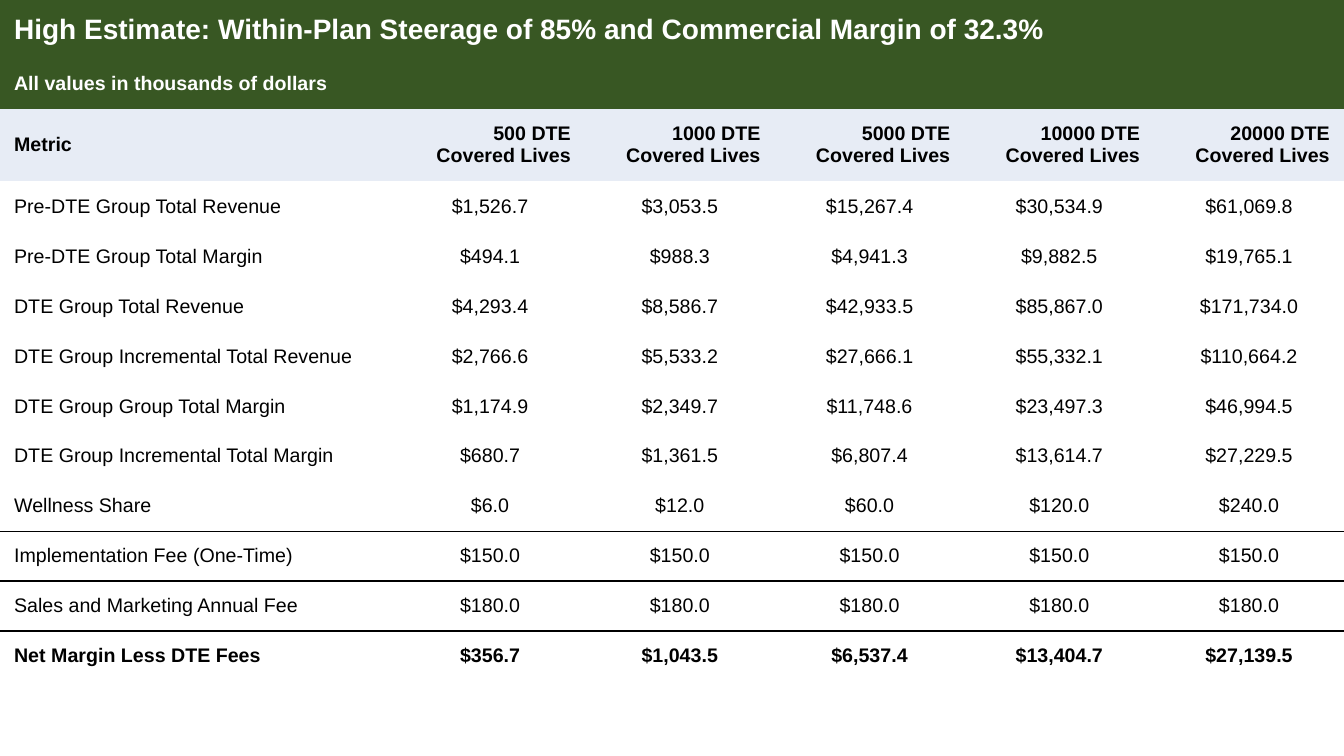
from dataclasses import dataclass

from lxml.etree import SubElement
from pptx import Presentation
from pptx.dml.color import RGBColor
from pptx.enum.text import MSO_ANCHOR, PP_ALIGN
from pptx.oxml import parse_xml
from pptx.oxml.ns import nsdecls, qn
from pptx.util import Inches, Pt


@dataclass(frozen=True)
class Theme:
    font: str = "Arial"
    green: str = "385723"
    pale: str = "E7ECF5"
    white: str = "FFFFFF"
    black: str = "000000"
    large: int = 20
    body: int = 14
    rule: int = 1


THEME = Theme()
WIDTH, HEIGHT = 13.33, 7.5
PAD = 0.14
PLAIN = "{2D5ABB26-0587-4C30-8999-92F81FD0307C}"  # no style, no grid

# Table content
BANNER = [
    ("High Estimate: Within-Plan Steerage of 85% and Commercial Margin of 32.3%",
     THEME.large),
    ("All values in thousands of dollars", THEME.body),
]
LIVES = [500, 1000, 5000, 10000, 20000]
METRICS = [
    ("Pre-DTE Group Total Revenue", [1526.7, 3053.5, 15267.4, 30534.9, 61069.8]),
    ("Pre-DTE Group Total Margin", [494.1, 988.3, 4941.3, 9882.5, 19765.1]),
    ("DTE Group Total Revenue", [4293.4, 8586.7, 42933.5, 85867.0, 171734.0]),
    ("DTE Group Incremental Total Revenue",
     [2766.6, 5533.2, 27666.1, 55332.1, 110664.2]),
    ("DTE Group Group Total Margin", [1174.9, 2349.7, 11748.6, 23497.3, 46994.5]),
    ("DTE Group Incremental Total Margin",
     [680.7, 1361.5, 6807.4, 13614.7, 27229.5]),
    ("Wellness Share", [6, 12, 60, 120, 240]),
    ("Implementation Fee (One-Time)", [150] * 5),
    ("Sales and Marketing Annual Fee", [180] * 5),
    ("Net Margin Less DTE Fees", [356.7, 1043.5, 6537.4, 13404.7, 27139.5]),
]
RULED = ("Wellness Share", "Sales and Marketing Annual Fee")
TOTAL = "Net Margin Less DTE Fees"

# Row and column sizes in inches
LABEL = 3.92
TOPS = [0.59, 0.49, 0.72]
ROWS = TOPS + [4.96 / len(METRICS)] * len(METRICS)
COLS = [LABEL] + [(WIDTH - LABEL) / len(LIVES)] * len(LIVES)


def put(cell, text, align=PP_ALIGN.LEFT, size=THEME.body, bold=False,
        color=THEME.black, fill=None):
    """Fill one cell with formatted text."""
    cell.margin_left = cell.margin_right = Inches(PAD)
    cell.margin_top = cell.margin_bottom = Inches(0.1)
    cell.vertical_anchor = MSO_ANCHOR.MIDDLE
    if fill:
        cell.fill.solid()
        cell.fill.fore_color.rgb = RGBColor.from_string(fill)
    else:
        cell.fill.background()
    cell.text_frame.text = text
    para = cell.text_frame.paragraphs[0]
    para.alignment = align
    font = para.runs[0].font
    font.name, font.size, font.bold = THEME.font, Pt(size), bold
    font.color.rgb = RGBColor.from_string(color)


def edge(cell, tag):
    """Draw one border; borders come before the fill."""
    line = parse_xml(f'<a:{tag} {nsdecls("a")} w="{Pt(THEME.rule)}"/>')
    solid = SubElement(line, qn("a:solidFill"))
    SubElement(solid, qn("a:srgbClr"), val=THEME.black)
    cell._tc.get_or_add_tcPr().insert(0, line)


def add_grid(slide):
    """Add an unstyled table with the set row and column sizes."""
    frame = slide.shapes.add_table(
        len(ROWS), len(COLS), 0, 0, Inches(WIDTH), Inches(sum(ROWS)))
    table = frame.table
    table.first_row = table.horz_banding = False
    frame._element.find(".//" + qn("a:tableStyleId")).text = PLAIN
    for row, size in zip(table.rows, ROWS):
        row.height = Inches(size)
    for col, size in zip(table.columns, COLS):
        col.width = Inches(size)
    return table


def add_head(table):
    """Write the banner rows and the column headings."""
    last = len(COLS) - 1
    for row, (text, size) in enumerate(BANNER):
        table.cell(row, 0).merge(table.cell(row, last))
        put(table.cell(row, 0), text, size=size, bold=True,
            color=THEME.white, fill=THEME.green)
    row = len(BANNER)
    put(table.cell(row, 0), "Metric", bold=True, fill=THEME.pale)
    for col, count in enumerate(LIVES, 1):
        put(table.cell(row, col), f"{count} DTE Covered Lives",
            PP_ALIGN.RIGHT, bold=True, fill=THEME.pale)


def add_body(table):
    """Write the metrics and rule off the groups."""
    for row, (name, values) in enumerate(METRICS, len(TOPS)):
        bold = name == TOTAL
        put(table.cell(row, 0), name, bold=bold)
        for col, value in enumerate(values, 1):
            put(table.cell(row, col), f"${value:,.1f}", PP_ALIGN.CENTER, bold=bold)
        if name in RULED:
            for col in range(len(COLS)):
                edge(table.cell(row, col), "lnB")
                edge(table.cell(row + 1, col), "lnT")


def main():
    deck = Presentation()
    deck.slide_width, deck.slide_height = Inches(WIDTH), Inches(HEIGHT)
    slide = deck.slides.add_slide(deck.slide_layouts[6])
    table = add_grid(slide)
    add_head(table)
    add_body(table)
    deck.save("out.pptx")


if __name__ == "__main__":
    main()
